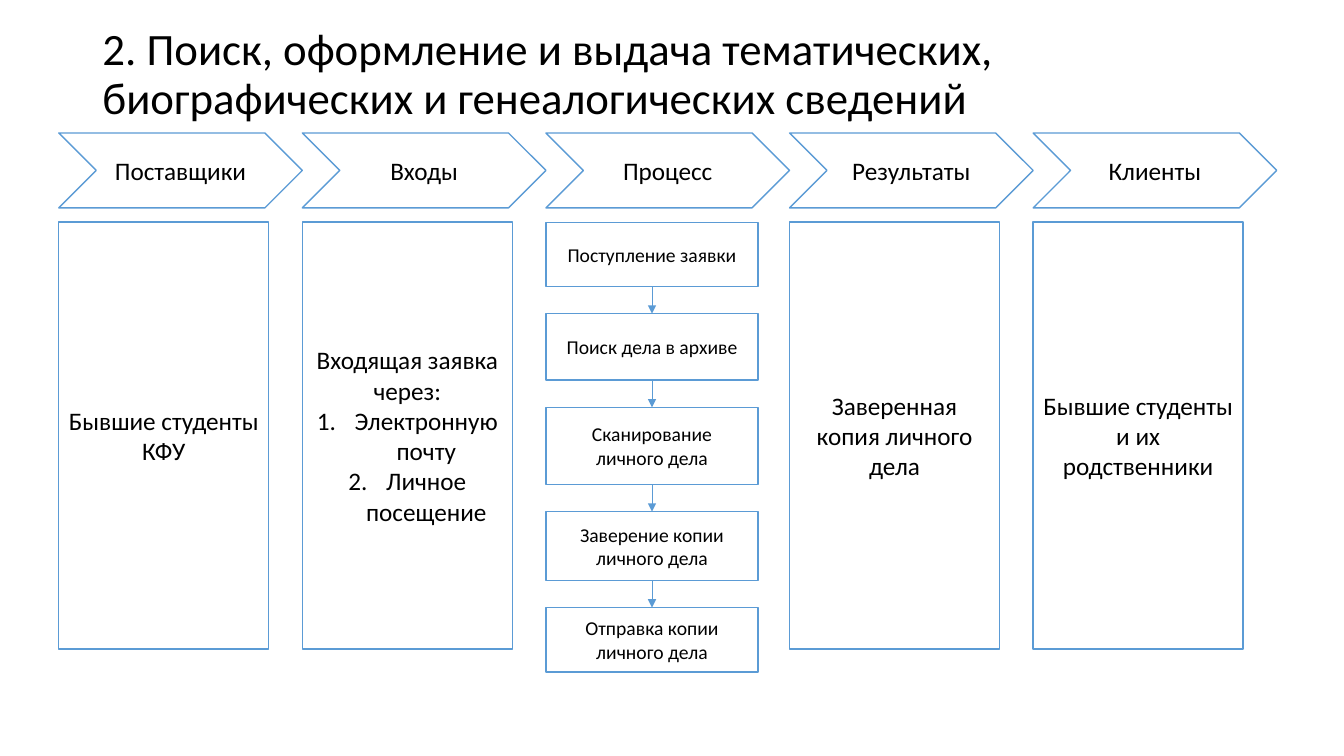
from lxml import etree
from pptx import Presentation
from pptx.dml.color import RGBColor
from pptx.enum.shapes import MSO_CONNECTOR, MSO_SHAPE
from pptx.enum.text import MSO_ANCHOR, MSO_AUTO_SIZE, PP_ALIGN
from pptx.oxml.ns import qn
from pptx.util import Pt

CHEVRON, RECTANGLE = MSO_SHAPE.CHEVRON, MSO_SHAPE.RECTANGLE
STRAIGHT = MSO_CONNECTOR.STRAIGHT
MIDDLE, NO_AUTOFIT = MSO_ANCHOR.MIDDLE, MSO_AUTO_SIZE.NONE
LEFT, CENTER = PP_ALIGN.LEFT, PP_ALIGN.CENTER
TOP_SIDE, BOTTOM_SIDE = 0, 2

COLORS = {"text": "000000", "fill": "FFFFFF", "line": "5B9BD5"}
COLUMN_LEFT, COLUMN_PITCH = 42, 174
COLUMN_TOP, COLUMN_WIDTH, COLUMN_HEIGHT = 158.5, 150, 305
STEP_TOP, STEP_WIDTH, STEP_GAP = 159, 151.5, 19.5
NUMBER_INDENT = 27

COLUMNS = [
    ("Поставщики", ["Бывшие студенты КФУ"]),
    ("Входы", ["Входящая заявка через:", "Электронную почту", "Личное посещение"]),
    ("Процесс", []),
    ("Результаты", ["Заверенная копия личного дела"]),
    ("Клиенты", ["Бывшие студенты и их родственники"]),
]
STEPS = [
    ("Поступление заявки", 45.5),
    ("Поиск дела в архиве", 47.5),
    ("Сканирование личного дела", 55),
    ("Заверение копии личного дела", 49),
    ("Отправка копии личного дела", 46),
]


def write_paragraphs(shape, texts, size, alignment):
    text_frame = shape.text_frame
    text_frame.word_wrap = True
    text_frame.auto_size = NO_AUTOFIT
    text_frame.vertical_anchor = MIDDLE
    text_frame.text = "\n".join(texts)
    for position, paragraph in enumerate(text_frame.paragraphs):
        paragraph.alignment = alignment
        if position > 0:
            properties = paragraph._p.get_or_add_pPr()
            properties.set("marL", str(Pt(NUMBER_INDENT)))
            properties.set("indent", str(-Pt(NUMBER_INDENT)))
            etree.SubElement(properties, qn("a:buAutoNum"), type="arabicPeriod")
        font = paragraph.runs[0].font
        for name, value in {"name": "Calibri", "size": Pt(size), "bold": False}.items():
            setattr(font, name, value)
        font.color.rgb = RGBColor.from_string(COLORS["text"])


def add_block(kind, left, top, width, height, texts, size):
    shape = slide.shapes.add_shape(kind, Pt(left), Pt(top), Pt(width), Pt(height))
    shape.shadow.inherit = False
    shape.fill.solid()
    shape.fill.fore_color.rgb = RGBColor.from_string(COLORS["fill"])
    shape.line.color.rgb = RGBColor.from_string(COLORS["line"])
    shape.line.width = Pt(1)
    write_paragraphs(shape, texts, size, CENTER)
    return shape


presentation = Presentation()
presentation.slide_width = Pt(960)
presentation.slide_height = Pt(540)
slide = presentation.slides.add_slide(presentation.slide_layouts[5])

title = slide.shapes.title
title_box = {"left": 66, "top": 29, "width": 787, "height": 50}
for name, value in title_box.items():
    setattr(title, name, Pt(value))
title_text = "2. Поиск, оформление и выдача тематических, биографических и генеалогических сведений"
write_paragraphs(title, [title_text], 32, LEFT)
title.text_frame.paragraphs[0].line_spacing = 0.9

for index, (heading, texts) in enumerate(COLUMNS):
    left = COLUMN_LEFT + index * COLUMN_PITCH
    add_block(CHEVRON, left, 95, COLUMN_PITCH, 53.5, [heading], 18)
    if texts:
        add_block(RECTANGLE, left, COLUMN_TOP, COLUMN_WIDTH, COLUMN_HEIGHT, texts, 18)

step_left = COLUMN_LEFT + 2 * COLUMN_PITCH
step_top = STEP_TOP
previous_step = None
for label, height in STEPS:
    step = add_block(RECTANGLE, step_left, step_top, STEP_WIDTH, height, [label], 14)
    if previous_step is not None:
        arrow = slide.shapes.add_connector(STRAIGHT, 0, 0, 0, 0)
        arrow.begin_connect(previous_step, BOTTOM_SIDE)
        arrow.end_connect(step, TOP_SIDE)
        arrow.line.color.rgb = RGBColor.from_string(COLORS["line"])
        arrow.line.width = Pt(0.5)
        etree.SubElement(arrow.line._get_or_add_ln(), qn("a:tailEnd"), type="triangle")
        etree.SubElement(arrow._element.spPr, qn("a:effectLst"))
    previous_step = step
    step_top += height + STEP_GAP

presentation.save("out.pptx")
